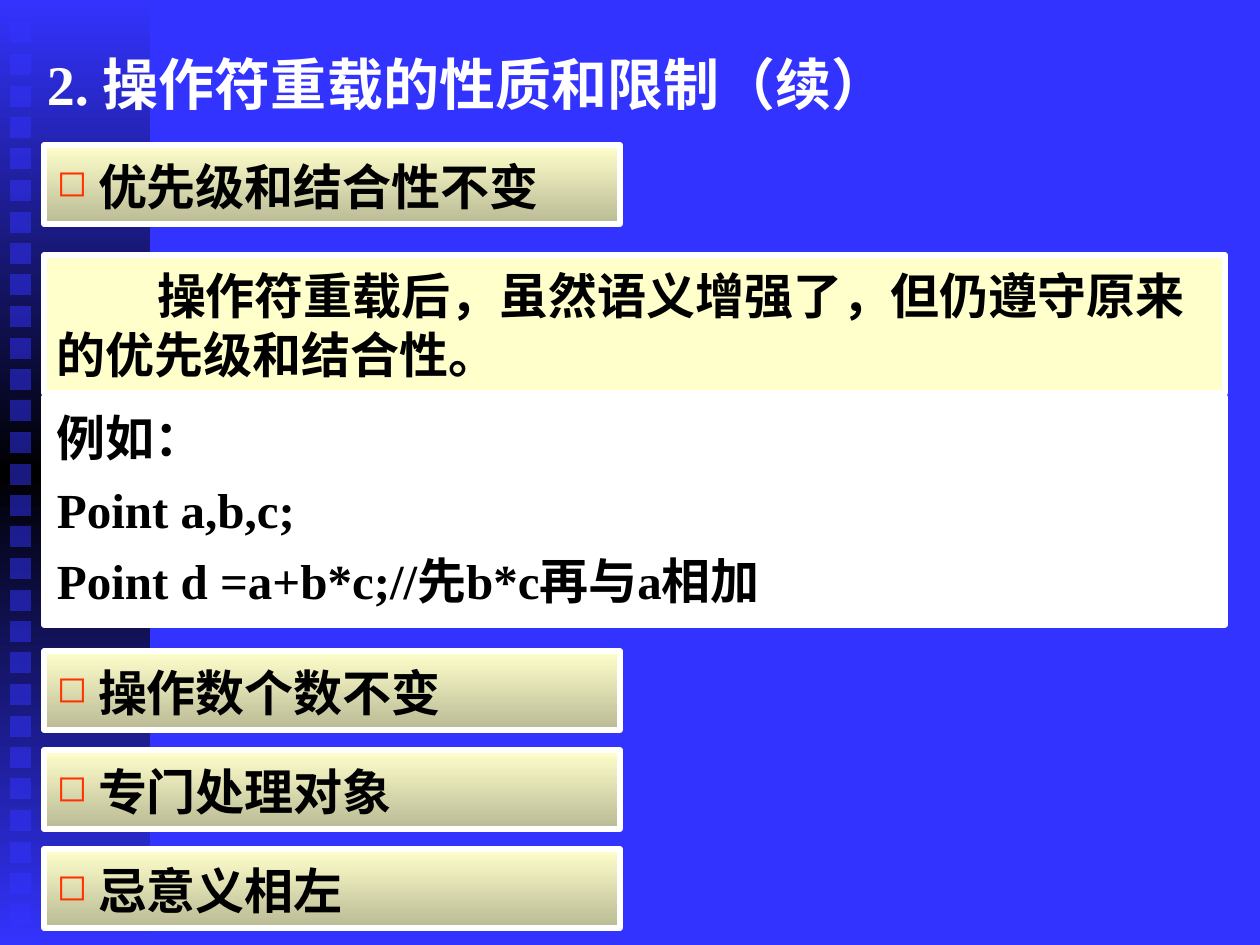
from copy import deepcopy
from dataclasses import dataclass

from lxml import etree
from pptx import Presentation
from pptx.dml.color import RGBColor
from pptx.enum.shapes import MSO_SHAPE
from pptx.enum.text import MSO_ANCHOR, PP_ALIGN
from pptx.oxml.ns import qn
from pptx.util import Emu, Pt

RECTANGLE = MSO_SHAPE.RECTANGLE
TOP, MIDDLE = MSO_ANCHOR.TOP, MSO_ANCHOR.MIDDLE
LEFT = PP_ALIGN.LEFT
EMU_PER_PX = 914400 / 126


@dataclass(frozen=True)
class Theme:
    font: str = "Times New Roman"
    title_size: int = 32
    body_size: int = 28
    para_gap: int = 7
    border: int = 3
    blue: str = "3333FF"
    black: str = "000000"
    white: str = "FFFFFF"
    cream: str = "FFFFCC"
    khaki: str = "BABA95"
    bullet: str = "FF3300"


THEME = Theme()
PANEL_LEFT = 44
WIDE, NARROW = 1181, 576
HEADING_HEIGHT = 79
BULLET_HANG = 41


def px(length):
    return Emu(round(length * EMU_PER_PX))


def rgb(value):
    return RGBColor.from_string(value)


def paint(shape, colors):
    """Fill with one colour, or with evenly spaced colours from top to bottom."""
    fill = shape.fill
    if len(colors) == 1:
        fill.solid()
        fill.fore_color.rgb = rgb(colors[0])
        return
    fill.gradient()
    fill.gradient_angle = 270
    stop_list = shape._element.spPr.find(qn("a:gradFill")).find(qn("a:gsLst"))
    while len(stop_list) < len(colors):
        stop_list.append(deepcopy(stop_list[0]))
    for index, (stop, color) in enumerate(zip(fill.gradient_stops, colors)):
        stop.position = index / (len(colors) - 1)
        stop.color.rgb = rgb(color)


def add_rectangle(page, left, top, width, height, *colors, border=None):
    shape = page.shapes.add_shape(
        RECTANGLE, px(left), px(top), px(width), px(height))
    shape.shadow.inherit = False
    paint(shape, colors)
    if border:
        shape.line.color.rgb = rgb(border)
        shape.line.width = Pt(THEME.border)
    else:
        shape.line.fill.background()
    return shape


def set_transparency(shape, percent_opaque):
    color = shape._element.spPr.find(qn("a:solidFill"))[0]
    etree.SubElement(color, qn("a:alpha"), val=str(percent_opaque * 1000))


def add_bullet(para):
    properties = para._p.get_or_add_pPr()
    properties.set("marL", str(px(BULLET_HANG)))
    properties.set("indent", str(-px(BULLET_HANG)))
    color = etree.SubElement(properties, qn("a:buClr"))
    etree.SubElement(color, qn("a:srgbClr"), val=THEME.bullet)
    etree.SubElement(properties, qn("a:buSzPct"), val="75000")
    etree.SubElement(properties, qn("a:buChar"), char="◻")


def write(box, *lines, size=THEME.body_size, color=THEME.black,
          inset_top=11, anchor=TOP, bullet=False, first_indent=0):
    frame = box.text_frame
    frame.word_wrap = True
    frame.vertical_anchor = anchor
    frame.margin_left = frame.margin_right = px(13)
    frame.margin_top, frame.margin_bottom = px(inset_top), px(6)
    for index, line in enumerate(lines):
        para = frame.paragraphs[0] if index == 0 else frame.add_paragraph()
        para.alignment = LEFT
        if bullet:
            add_bullet(para)
        if first_indent:
            para._p.get_or_add_pPr().set("indent", str(px(first_indent)))
        if index:
            para.space_before = Pt(THEME.para_gap)
        span = para.add_run()
        span.text = line
        span.font.name = THEME.font
        span.font.size = Pt(size)
        span.font.bold = True
        span.font.color.rgb = rgb(color)


def add_side_band(page):
    add_rectangle(page, 0, 0, 150, 945, THEME.blue, THEME.black, THEME.blue)
    for index in range(29):
        square = add_rectangle(
            page, 10, round(22.5 + 31.5 * index), 21, 21, THEME.blue)
        set_transparency(square, 50)


def add_title(page, text):
    box = page.shapes.add_textbox(px(34), px(26), px(1160), px(115))
    write(box, text, size=THEME.title_size, color=THEME.white,
          inset_top=6, anchor=MIDDLE)


def add_heading(page, top, text):
    panel = add_rectangle(page, PANEL_LEFT, top, NARROW, HEADING_HEIGHT,
                          THEME.cream, THEME.khaki, border=THEME.white)
    write(panel, text, bullet=True)


def add_panel(page, top, height, color, *lines, first_indent=0):
    panel = add_rectangle(page, PANEL_LEFT, top, WIDE, height, color,
                          border=THEME.white)
    write(panel, *lines, first_indent=first_indent)


def main():
    deck = Presentation()
    deck.slide_width, deck.slide_height = px(1260), px(945)
    page = deck.slides.add_slide(deck.slide_layouts[6])
    page.background.fill.solid()
    page.background.fill.fore_color.rgb = rgb(THEME.blue)

    add_side_band(page)
    add_title(page, "2. 操作符重载的性质和限制（续）")
    add_heading(page, 145, "优先级和结合性不变")
    add_panel(page, 255, 138, THEME.cream,
              "操作符重载后，虽然语义增强了，但仍遵守原来的优先级和结合性。",
              first_indent=100)
    add_panel(page, 397, 228, THEME.white,
              "例如：", "Point a,b,c;", "Point d =a+b*c;//先b*c再与a相加")
    closing = ("操作数个数不变", "专门处理对象", "忌意义相左")
    for index, text in enumerate(closing):
        add_heading(page, 651 + 99 * index, text)

    deck.save("out.pptx")


if __name__ == "__main__":
    main()
